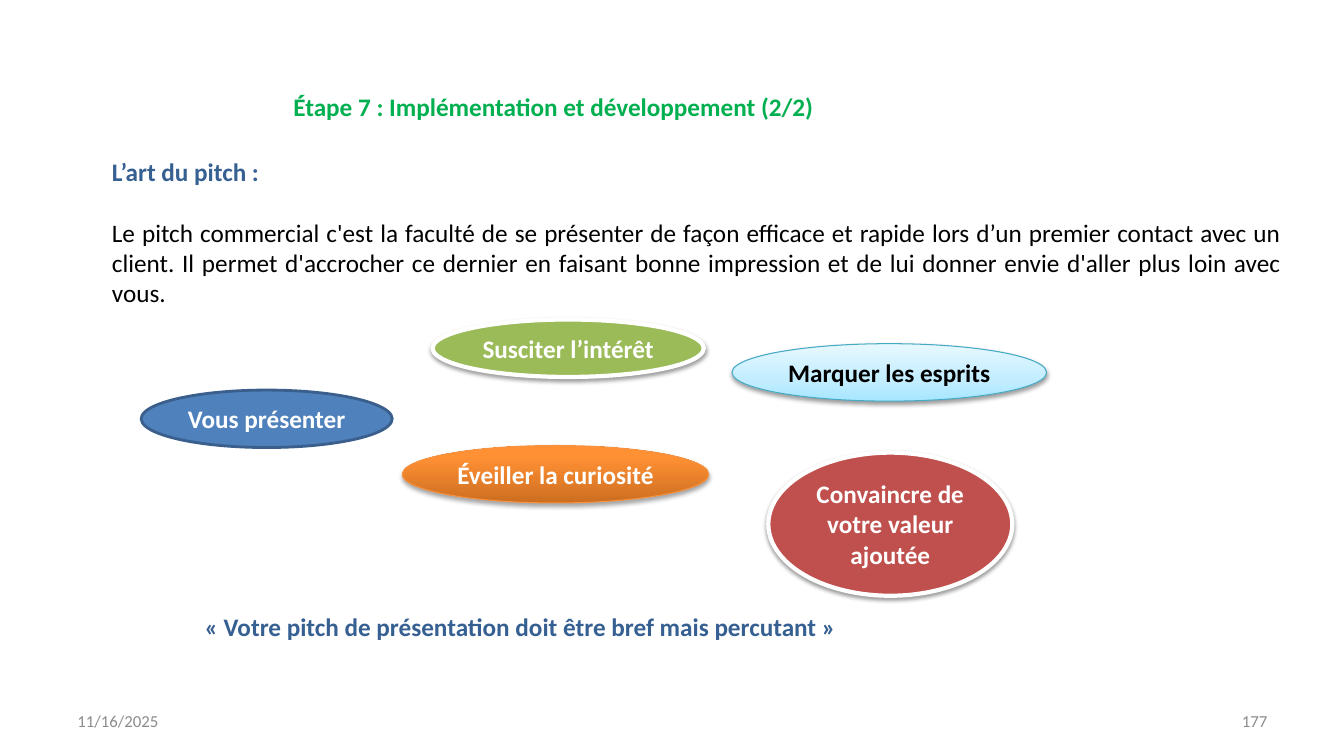
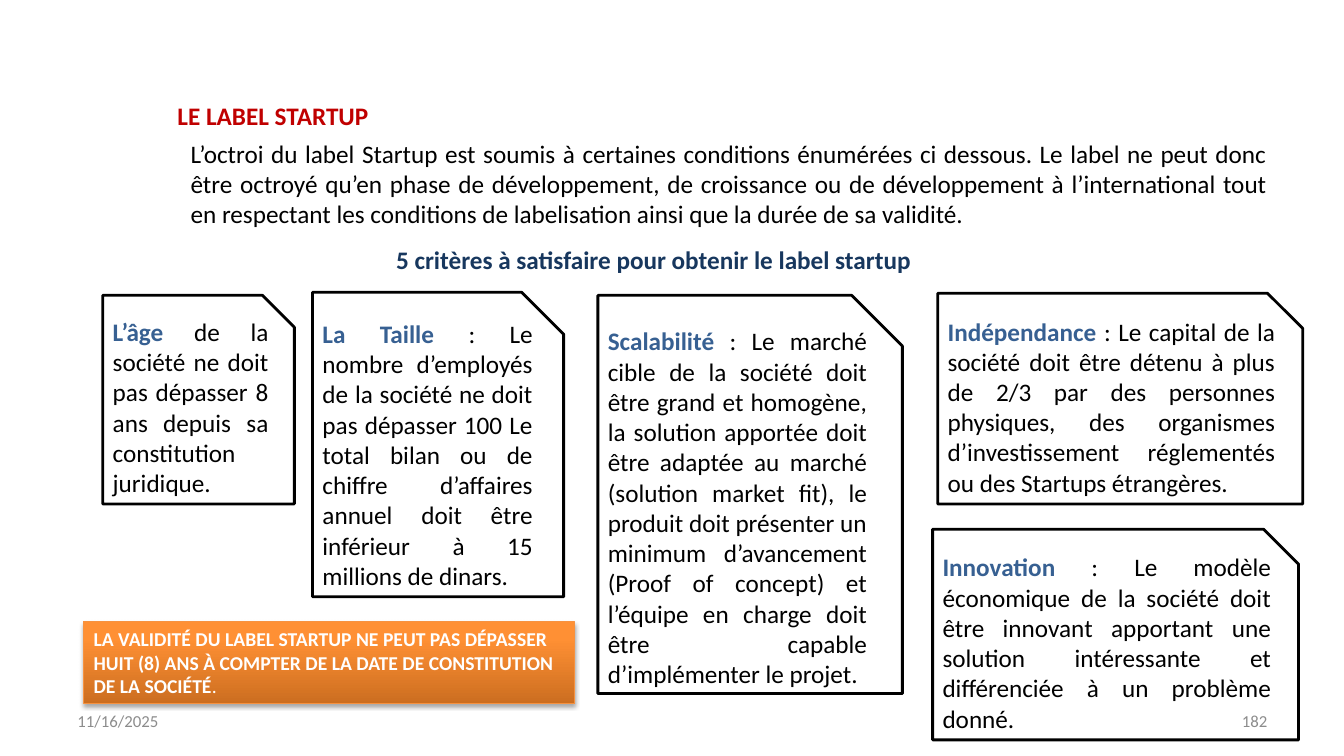
from lxml.etree import SubElement
from pptx import Presentation
from pptx.dml.color import RGBColor
from pptx.enum.shapes import MSO_SHAPE as SHAPE
from pptx.enum.text import MSO_ANCHOR as ANCHOR, MSO_AUTO_SIZE as AUTO_SIZE, PP_ALIGN as ALIGN
from pptx.oxml.ns import qn
from pptx.util import Pt

PX = 9144  # 100 px to the inch
COLORS = {
    "black": "000000", "white": "FFFFFF", "green": "00B050", "red": "C00000",
    "blue": "376092", "navy": "17375E", "gray": "8C8C8C",
    "azure": "4F81BD", "azure_edge": "3A5F8C", "olive": "9BBB59", "brick": "C0504D",
    "orange_edge": "F69240", "aqua_edge": "46AAC5",
    "orange_low": "CC6E20", "orange_mid": "FF9034", "orange_top": "FF9136",
    "aqua_low": "A7E6FF", "aqua_mid": "C1EDFF", "aqua_top": "E7F8FF",
}
RGB = {name: RGBColor.from_string(value) for name, value in COLORS.items()}

# Looks: fill (one colour or gradient stops), line, line width, shadow opacity and distance
ORANGE = [(0, "orange_low"), (80, "orange_mid"), (100, "orange_top")]
AQUA = [(0, "aqua_low"), (35, "aqua_mid"), (100, "aqua_top")]
LOOKS = {
    "azure": ("azure", "azure_edge", 2, None),
    "olive": ("olive", "white", 3, (38, 1.6)),
    "orange": (ORANGE, "orange_edge", 0.75, (35, 1.8)),
    "aqua": (AQUA, "aqua_edge", 0.75, (38, 1.6)),
    "brick": ("brick", "white", 3, (38, 1.6)),
    "card": ("white", "black", 2, None),
}


def write(box, at, paragraphs, align=ALIGN.LEFT, size=18, wrap=True, anchor=ANCHOR.TOP, gap=0):
    """Place a box and fill it; each paragraph is a list of (text, colour, bold)."""
    box.left, box.top, box.width, box.height = (n * PX for n in at)
    frame = box.text_frame
    for key, value in {"auto_size": AUTO_SIZE.NONE, "word_wrap": wrap,
                       "vertical_anchor": anchor}.items():
        setattr(frame, key, value)
    for i, runs in enumerate(paragraphs):
        paragraph = frame.add_paragraph() if i else frame.paragraphs[0]
        paragraph.alignment = align
        paragraph.space_before = Pt(gap if i else 0)
        if box.is_placeholder:
            properties = paragraph._p.get_or_add_pPr()
            properties.set("marL", "0")
            properties.set("indent", "0")
            SubElement(properties, qn("a:buNone"))
        for text, color, bold in runs:
            run = paragraph.add_run()
            run.text = text
            for key, value in {"name": "Calibri", "size": Pt(size), "bold": bold}.items():
                setattr(run.font, key, value)
            run.font.color.rgb = RGB[color]


def add_panel(slide, kind, look, at, runs, **text_format):
    """Add a preset shape with one of the looks and its text."""
    fill, line, width, shadow = LOOKS[look]
    panel = slide.shapes.add_shape(kind, 0, 0, PX, PX)
    panel.shadow.inherit = False
    if isinstance(fill, str):
        panel.fill.solid()
        panel.fill.fore_color.rgb = RGB[fill]
    else:
        panel.fill.gradient()
        gradient = panel._element.spPr.find(qn("a:gradFill"))
        for child in list(gradient):
            gradient.remove(child)
        stops = SubElement(gradient, qn("a:gsLst"))
        for position, color in fill:
            stop = SubElement(stops, qn("a:gs"), pos=str(position * 1000))
            SubElement(stop, qn("a:srgbClr"), val=COLORS[color])
        SubElement(gradient, qn("a:lin"), ang="16200000", scaled="0")
    panel.line.color.rgb = RGB[line]
    panel.line.width = Pt(width)
    if shadow:
        opacity, distance = shadow
        effects = panel._element.spPr.find(qn("a:effectLst"))
        outer = SubElement(effects, qn("a:outerShdw"), blurRad=str(Pt(3.1)),
                           dist=str(Pt(distance)), dir="5400000", rotWithShape="0")
        color = SubElement(outer, qn("a:srgbClr"), val=COLORS["black"])
        SubElement(color, qn("a:alpha"), val=str(opacity * 1000))
    write(panel, at, [runs], **text_format)


deck = Presentation()
deck.slide_width, deck.slide_height = 1333 * PX, 750 * PX
content_layout = deck.slide_layouts[1]
pitch = deck.slides.add_slide(content_layout)
label = deck.slides.add_slide(content_layout)

# Slide 1: the pitch
write(pitch.shapes.title, (281, 86, 540, 40),
      [[("Étape 7 : Implémentation et développement (2/2)", "green", True)]], wrap=False)
write(pitch.placeholders[1], (101, 150, 1180, 162), [
    [("L’art du pitch :", "blue", True)],
    [("Le pitch commercial c'est la faculté de se présenter de façon efficace et rapide lors "
      "d’un premier contact avec un client. Il permet d'accrocher ce dernier en faisant bonne "
      "impression et de lui donner envie d'aller plus loin avec vous.", "black", False)],
], align=ALIGN.JUSTIFY, gap=22)

goals = [
    ("Vous présenter", "azure", "white", (140, 387, 249, 57), False),
    ("Susciter l’intérêt", "olive", "white", (429, 317, 269, 57), False),
    ("Éveiller la curiosité", "orange", "white", (399, 442, 304, 57), False),
    ("Marquer les esprits", "aqua", "black", (726, 341, 312, 57), False),
    ("Convaincre de votre valeur ajoutée", "brick", "white", (762, 449, 242, 142), True),
]
for goal, look, color, at, wrap in goals:
    add_panel(pitch, SHAPE.OVAL, look, at, [(goal, color, True)], align=ALIGN.CENTER, wrap=wrap)

motto = pitch.shapes.add_textbox(0, 0, PX, PX)
write(motto, (193, 602, 652, 40),
      [[("« Votre pitch de présentation doit être bref mais percutant »", "blue", True)]],
      wrap=False)

# Slide 2: the startup label
write(label.shapes.title, (166, 94, 217, 40), [[("LE LABEL STARTUP", "red", True)]], wrap=False)
write(label.placeholders[1], (179, 132, 1088, 101), [
    [("L’octroi du label Startup est soumis à certaines conditions énumérées ci dessous. Le label "
      "ne peut donc être octroyé qu’en phase de développement, de croissance ou de développement "
      "à l’international tout en respectant les conditions de labelisation ainsi que la durée de "
      "sa validité.", "black", False)],
], align=ALIGN.JUSTIFY)
criteria_heading = label.shapes.add_textbox(0, 0, PX, PX)
write(criteria_heading, (383, 237, 535, 40),
      [[("5 critères à satisfaire pour obtenir le label startup", "navy", True)]], wrap=False)

criteria = [
    ("L’âge", " de la société ne doit pas dépasser 8 ans depuis sa constitution juridique.",
     (102, 293, 190, 207)),
    ("La Taille ", ": Le nombre d’employés de la société ne doit pas dépasser 100 Le total bilan "
     "ou de chiffre d’affaires annuel doit être inférieur à 15 millions de dinars.",
     (310, 290, 249, 302)),
    ("Scalabilité ", ": Le marché cible de la société doit être grand et homogène, la solution "
     "apportée doit être adaptée au marché (solution market fit), le produit doit présenter un "
     "minimum d’avancement (Proof of concept) et l’équipe en charge doit être capable "
     "d’implémenter le projet.", (593, 293, 302, 395)),
    ("Indépendance ", ": Le capital de la société doit être détenu à plus de 2/3 par des personnes "
     "physiques, des organismes d’investissement réglementés ou des Startups étrangères.",
     (930, 291, 362, 209)),
    ("Innovation", " : Le modèle économique de la société doit être innovant apportant une "
     "solution intéressante et différenciée à un problème donné.", (925, 525, 363, 209)),
]
for criterion, condition, at in criteria:
    add_panel(label, SHAPE.SNIP_1_RECTANGLE, "card", at,
              [(criterion, "blue", True), (condition, "black", False)], align=ALIGN.JUSTIFY)

add_panel(label, SHAPE.RECTANGLE, "orange", (83, 617, 487, 81), [
    ("LA VALIDITÉ DU LABEL STARTUP NE PEUT PAS DÉPASSER HUIT (8) ANS À COMPTER DE LA DATE DE "
     "CONSTITUTION DE LA SOCIÉTÉ", "white", True), (".", "white", False)], size=14)

# Footers: date and page number
for slide, page in ((pitch, "177"), (label, "182")):
    for text, left, align in (("11/16/2025", 67, ALIGN.LEFT), (page, 956, ALIGN.RIGHT)):
        footer = slide.shapes.add_textbox(0, 0, PX, PX)
        write(footer, (left, 695, 311, 40), [[(text, "gray", False)]],
              align=align, size=12, anchor=ANCHOR.MIDDLE)

deck.save("out.pptx")
